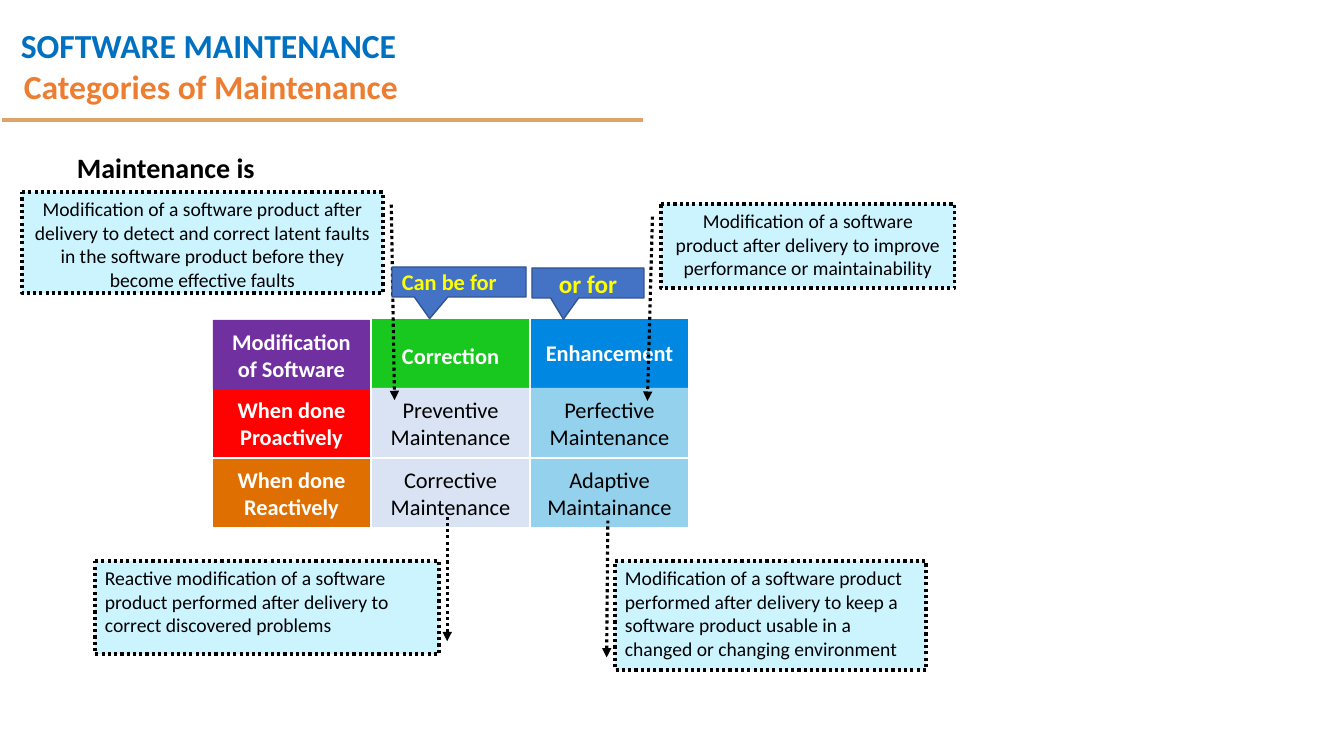
from lxml.etree import SubElement
from pptx import Presentation
from pptx.dml.color import RGBColor
from pptx.enum.dml import MSO_LINE
from pptx.enum.shapes import MSO_CONNECTOR, MSO_SHAPE
from pptx.enum.text import MSO_ANCHOR, PP_ALIGN
from pptx.oxml.ns import qn
from pptx.util import Pt

PX = 914400 / 100.8
WHITE = RGBColor(0xFF, 0xFF, 0xFF)
BLACK = RGBColor(0x00, 0x00, 0x00)
HEADING_BLUE = RGBColor(0x00, 0x70, 0xC0)
ORANGE = RGBColor(0xED, 0x7D, 0x31)
TAN = RGBColor(0xDF, 0xA2, 0x67)
GREEN = RGBColor(0x19, 0xC8, 0x1E)
BLUE = RGBColor(0x00, 0x87, 0xE1)
RED = RGBColor(0xFE, 0x01, 0x01)
BROWN = RGBColor(0xE0, 0x6F, 0x02)
PURPLE = RGBColor(0x70, 0x30, 0xA0)
LAVENDER = RGBColor(0xDA, 0xE3, 0xF3)
SKY = RGBColor(0x93, 0xD1, 0xED)
CYAN = RGBColor(0x00, 0xCC, 0xFF)
BUBBLE_BLUE = RGBColor(0x44, 0x72, 0xC4)
BUBBLE_EDGE = RGBColor(0x32, 0x54, 0x91)
YELLOW = RGBColor(0xFF, 0xFF, 0x00)


def add_text(text, box, kind=None, fill=None, edge=None, edge_width=1, size=16,
             color=WHITE, bold=True, align=PP_ALIGN.CENTER,
             anchor=MSO_ANCHOR.MIDDLE, spacing=None, adjust=()):
    place = [round(length * PX) for length in box]
    if kind is None:
        shape = slide.shapes.add_textbox(*place)
    else:
        shape = slide.shapes.add_shape(kind, *place)
        shape.shadow.inherit = False
        shape.fill.solid()
        shape.fill.fore_color.rgb = fill
        if edge is None:
            shape.line.fill.background()
        else:
            shape.line.color.rgb = edge
            shape.line.width = Pt(edge_width)
        for index, value in enumerate(adjust):
            shape.adjustments[index] = value
    frame = shape.text_frame
    frame.word_wrap = True
    frame.vertical_anchor = anchor
    frame.text = text
    for paragraph in frame.paragraphs:
        paragraph.alignment = align
        paragraph.line_spacing = spacing
        font = paragraph.runs[0].font
        font.name = "Calibri"
        font.size = Pt(size)
        font.bold = bold
        font.color.rgb = color
    return shape


def add_line(x1, y1, x2, y2, color, width):
    ends = [round(length * PX) for length in (x1, y1, x2, y2)]
    line = slide.shapes.add_connector(MSO_CONNECTOR.STRAIGHT, *ends)
    line.line.color.rgb = color
    line.line.width = Pt(width)
    SubElement(line._element.spPr, qn("a:effectLst"))


presentation = Presentation()
presentation.slide_width = round(1344 * PX)
presentation.slide_height = round(756 * PX)
slide = presentation.slides.add_slide(presentation.slide_layouts[6])

add_text("SOFTWARE MAINTENANCE", (11, 0, 562, 65), size=24, color=HEADING_BLUE,
         align=PP_ALIGN.LEFT, anchor=MSO_ANCHOR.TOP, spacing=1.5)
add_line(2, 120, 643, 120, TAN, 3)
add_text("Categories of Maintenance", (14, 58, 1159, 61), size=24, color=ORANGE,
         align=PP_ALIGN.LEFT, spacing=0.9)

LEFT, TOP, COLUMN, ROW = 212, 318, 159, 70
RIGHT, BOTTOM = LEFT + 3 * COLUMN, TOP + 3 * ROW
cells = [
    ("Correction", 0, 1, GREEN, 76),
    ("Enhancement", 0, 2, BLUE, ROW),
    ("When done Proactively", 1, 0, RED, ROW),
    ("Preventive\nMaintenance", 1, 1, LAVENDER, ROW),
    ("Perfective\nMaintenance", 1, 2, SKY, ROW),
    ("When done Reactively", 2, 0, BROWN, ROW),
    ("Corrective\nMaintenance", 2, 1, LAVENDER, ROW),
    ("Adaptive\nMaintainance", 2, 2, SKY, ROW),
]
for label, row, column, fill, height in cells:
    heading = row == 0 or column == 0
    add_text(label, (LEFT + column * COLUMN, TOP + row * ROW, COLUMN, height),
             MSO_SHAPE.RECTANGLE, fill, color=WHITE if heading else BLACK,
             bold=heading)

for column in range(4):
    x = LEFT + column * COLUMN
    add_line(x, TOP, x, BOTTOM, WHITE, 1)
for row in (0, 2, 3):
    y = TOP + row * ROW
    add_line(LEFT, y, RIGHT, y, WHITE, 1)

definitions = [
    ("Modification of a software product after delivery to detect and correct "
     "latent faults in the software product before they become effective faults",
     (22, 192, 361, 101), PP_ALIGN.CENTER, "a:tailEnd", (0.125, 1.023, 2.061, 1.032)),
    ("Reactive modification of a software product performed after delivery to "
     "correct discovered problems",
     (95, 561, 344, 93), PP_ALIGN.LEFT, "a:headEnd", (0.864, 1.024, -0.488, 1.024)),
    ("Modification of a software product performed after delivery to keep a "
     "software product usable in a changed or changing environment",
     (615, 561, 311, 109), PP_ALIGN.LEFT, "a:headEnd", (0.885, -0.027, -0.37, -0.023)),
    ("Modification of a software product after delivery to improve performance "
     "or maintainability",
     (661, 204, 294, 84), PP_ALIGN.CENTER, "a:tailEnd", (0.15, -0.029, 2.344, -0.046)),
]
for definition, box, align, arrow_end, pointer in definitions:
    callout = add_text(definition, box, MSO_SHAPE.LINE_CALLOUT_1, CYAN, BLACK, 2.25,
                       size=14, color=BLACK, bold=False, align=align,
                       anchor=MSO_ANCHOR.TOP, adjust=pointer)
    callout.line.dash_style = MSO_LINE.ROUND_DOT
    SubElement(callout.line._get_or_add_ln(), qn(arrow_end), type="triangle")
    tint = callout._element.spPr.find(qn("a:solidFill"))[0]
    SubElement(tint, qn("a:alpha"), val="20000")

add_text("Can be for", (392, 267, 134, 30), MSO_SHAPE.RECTANGULAR_CALLOUT,
         BUBBLE_BLUE, BUBBLE_EDGE, color=YELLOW, align=PP_ALIGN.LEFT,
         adjust=(-0.219, 1.221))
add_text("Modification of Software", (213, 320, 157, 70), MSO_SHAPE.RECTANGLE, PURPLE)
add_text("Maintenance is", (67, 146, 239, 44), size=20, color=BLACK,
         align=PP_ALIGN.LEFT, anchor=MSO_ANCHOR.TOP)
add_text("or for", (532, 268, 112, 30), MSO_SHAPE.RECTANGULAR_CALLOUT,
         BUBBLE_BLUE, BUBBLE_EDGE, size=18, color=YELLOW, adjust=(-0.219, 1.21))

presentation.save("out.pptx")
